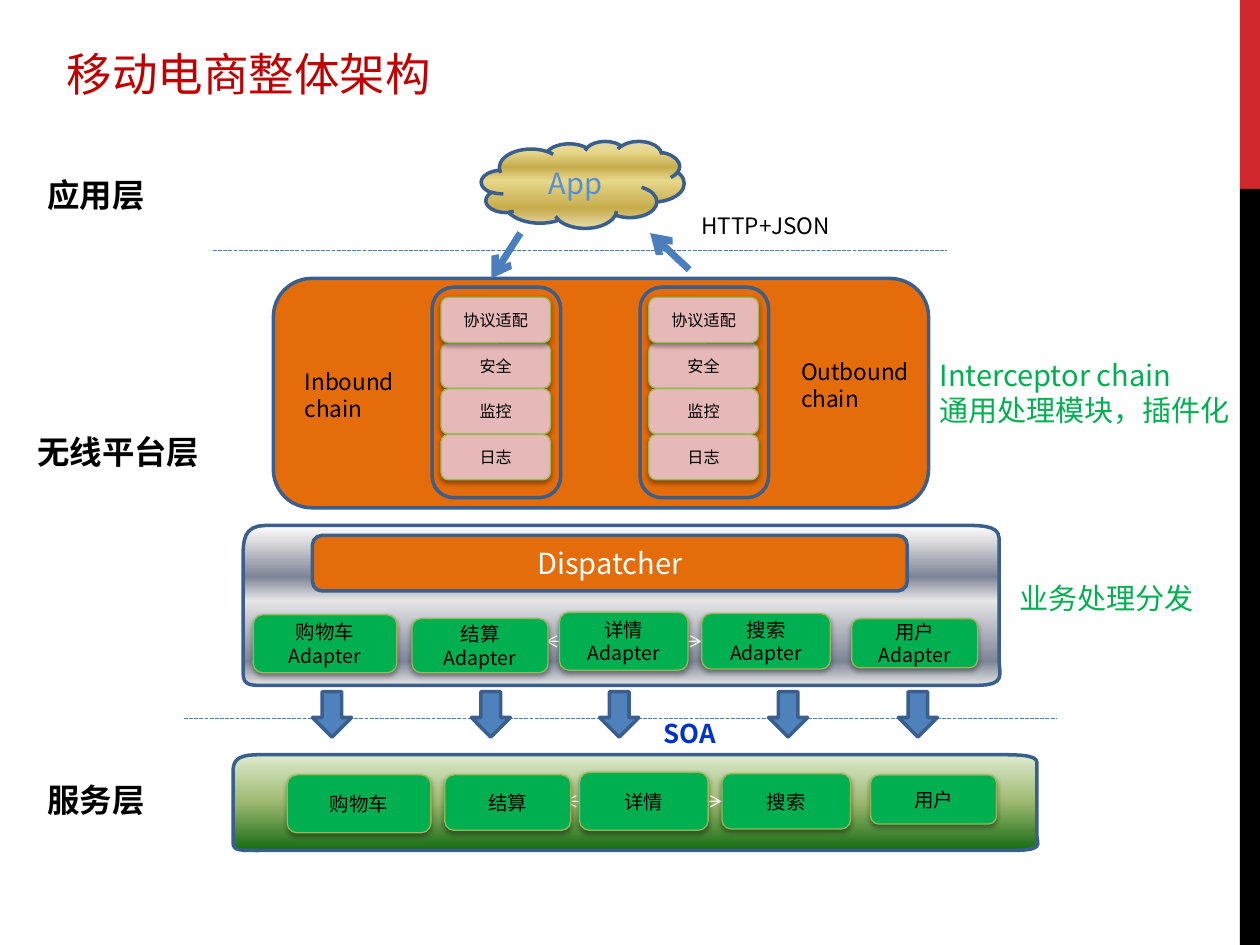
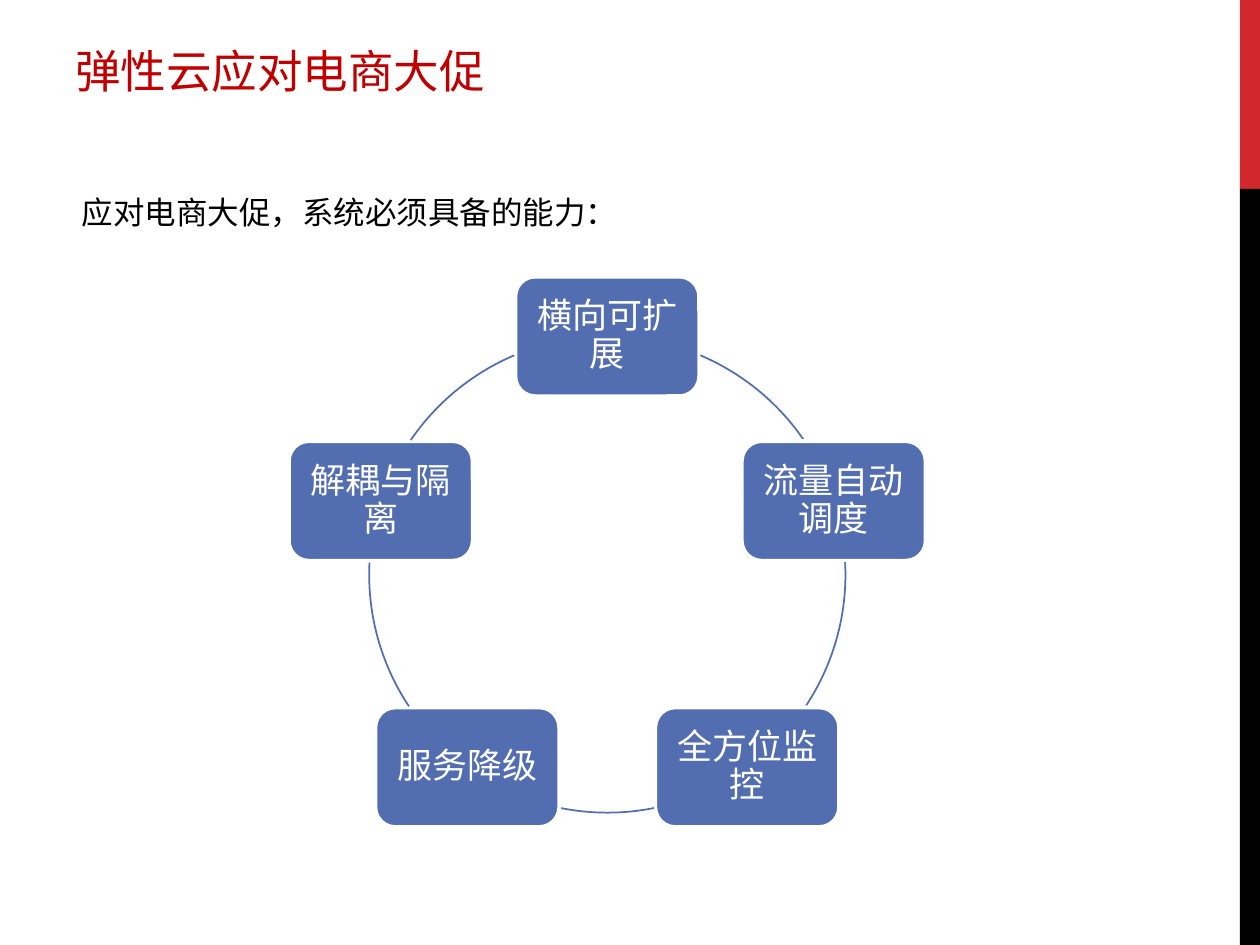
from lxml.etree import SubElement
from pptx import Presentation
from pptx.dml.color import RGBColor
from pptx.enum.dml import MSO_LINE
from pptx.enum.shapes import MSO_CONNECTOR as Link, MSO_SHAPE as Preset
from pptx.enum.text import MSO_ANCHOR as Anchor, PP_ALIGN as Align
from pptx.oxml.ns import qn
from pptx.util import Inches, Pt
from math import cos, radians, sin

WIDTH, HEIGHT = 10, 7.5
CJK = "Noto Sans CJK SC"
COLORS = {
    "red": "D1282E", "black": "000000", "white": "FFFFFF", "title": "C00000",
    "orange": "E46C0A", "outline": "3A5F8C", "green": "00B050", "rim": "98B955",
    "pink": "E6B9B8", "arrow": "4F81BD", "rule": "4B7EBC", "soa": "0033CC",
    "app": "558ED5", "ring": "526DB0",
}
GRADIENTS = {
    "services": [(0, "DDEBCF"), (50, "9CB86E"), (100, "156B13")],
    "adapters": [(0, "FFFFFF"), (7, "E6E6E6"), (32, "7D8496"),
                 (47, "E6E6E6"), (85, "7D8496"), (100, "E6E6E6")],
    "cloud": [(0, "E6DCAC"), (12, "E6D78A"), (30, "C7AC4C"),
              (45, "E6D78A"), (77, "C7AC4C"), (100, "E6DCAC")],
}
STYLES = {
    "title": dict(size=26, color="title"),
    "layer": dict(size=18.5, bold=True),
    "note": dict(size=16.6, color="green"),
    "chain": dict(size=12.9),
    "step": dict(size=9.2),
    "module": dict(size=11.1),
    "soa": dict(size=14.8, bold=True, color="soa"),
    "app": dict(size=16.6, color="app"),
    "dispatcher": dict(size=16.6, color="white"),
    "lead": dict(size=18, name="Arial"),
    "ability": dict(size=20, name="Arial", color="white"),
}

LABELS = [
    (["HTTP+JSON"], "chain", (5.47, 1.63, 1.89, 0.32)),
    (["服务层"], "layer", (0.28, 6.14, 1.18, 0.41)),
    (["无线平台层"], "layer", (0.2, 3.38, 1.57, 0.41)),
    (["应用层"], "layer", (0.28, 1.34, 1.34, 0.41)),
    (["Interceptor chain", "通用处理模块，插件化"], "note", (7.36, 2.79, 2.52, 0.66)),
    (["Outbound", "chain"], "chain", (6.26, 2.79, 1.18, 0.54)),
    (["Inbound", "chain"], "chain", (2.32, 2.87, 1.02, 0.54)),
    (["业务处理分发"], "note", (7.99, 4.56, 1.65, 0.38)),
]
STEPS = ["协议适配", "安全", "监控", "日志"]
CHAIN_LEFTS = (3.43, 5.08)
MODULES = [
    (["购物车Adapter"], (2.01, 4.88, 1.14, 0.46), 2.48, "购物车", (2.28, 6.15, 1.14, 0.46)),
    (["结算", "Adapter"], (3.27, 4.91, 1.08, 0.43), 3.74, "结算", (3.53, 6.15, 1, 0.44)),
    (["详情", "Adapter"], (4.44, 4.86, 1.02, 0.46), 4.76, "详情", (4.6, 6.13, 1.02, 0.46)),
    (["搜索", "Adapter"], (5.57, 4.87, 1.02, 0.44), 6.1, "搜索", (5.73, 6.14, 1.02, 0.44)),
    (["用户", "Adapter"], (6.76, 4.91, 1, 0.39), 7.13, "用户", (6.91, 6.15, 1, 0.39)),
]
PANELS = [("services", (1.85, 5.99, 6.38, 0.76)), ("adapters", (1.93, 4.17, 6, 1.27))]
PANEL_CORNERS = [
    [(0, 0.2), (0, 0.1), (0, 0), (0.03, 0)],
    [(0.94, 0), (0.97, 0), (1, -0.01), (1, 0.08)],
    [(1, 0.84), (1, 0.93), (1.01, 1), (0.97, 1)],
    [(0.04, 1), (0.01, 1), (0, 1.01), (0, 0.92)],
]
RULES = [(1.69, 7.52, 1.99), (1.46, 8.39, 5.7)]
TWO_WAY_LINKS = [(5.73, 4.48, 6.36), (5.57, 4.33, 5.09)]
APP_ARROWS = [(4.13, 1.85, 3.9, 2.21), (5.47, 2.14, 5.16, 1.85)]

ABILITIES = ["横向可扩展", "流量自动调度", "全方位监控", "服务降级", "解耦与隔离"]
RING_ARCS = [(293, 325.6), (357, 33.6), (78.7, 101.3), (146.4, 183), (214.4, 247)]
RING_X, RING_Y, RING_RADIUS = 4.82, 4.56, 1.89
ABILITY_SIZE = (1.46, 0.95)


def rgb(color):
    return RGBColor.from_string(COLORS[color])


def write(shape, lines, style, align=Align.LEFT, anchor=Anchor.TOP,
          wrap=True, inset=None, **para_format):
    frame = shape.text_frame
    frame.word_wrap, frame.vertical_anchor = wrap, anchor
    if inset is not None:
        for side in ("left", "top", "right", "bottom"):
            setattr(frame, f"margin_{side}", Inches(inset))
    font_format = {"name": CJK, "bold": False, "color": "black", **STYLES[style]}
    color = font_format.pop("color")
    font_format["size"] = Pt(font_format["size"])
    for index, line in enumerate(lines):
        para = frame.paragraphs[0] if index == 0 else frame.add_paragraph()
        for key, value in {"alignment": align, **para_format}.items():
            setattr(para, key, value)
        span = para.add_run()
        span.text = line
        for key, value in font_format.items():
            setattr(span.font, key, value)
        span.font.color.rgb = rgb(color)
        SubElement(span.font._element, qn("a:ea"), typeface=CJK)


def add_text(page, lines, style, place, **options):
    box = page.shapes.add_textbox(*map(Inches, place))
    write(box, lines, style, **options)
    return box


def paint(shape, fill=None, line=None, weight=2):
    shape.shadow.inherit = False
    if fill in GRADIENTS:
        shape.fill.gradient()
        shape.fill.gradient_angle = 270
        stops = shape._element.spPr.find(qn("a:gradFill")).find(qn("a:gsLst"))
        for stop in list(stops):
            stops.remove(stop)
        for share, color in GRADIENTS[fill]:
            stop = SubElement(stops, qn("a:gs"), pos=str(share * 1000))
            SubElement(stop, qn("a:srgbClr"), val=color)
    elif fill:
        shape.fill.solid()
        shape.fill.fore_color.rgb = rgb(fill)
    else:
        shape.fill.background()
    if line:
        shape.line.color.rgb = rgb(line)
        shape.line.width = Pt(weight)
    else:
        shape.line.fill.background()
    return shape


def add_block(page, preset, place, *look):
    return paint(page.shapes.add_shape(preset, *map(Inches, place)), *look)


def add_module(page, lines, style, fill, place):
    block = add_block(page, Preset.ROUNDED_RECTANGLE, place, fill, "rim", 0.75)
    effects = block._element.spPr.find(qn("a:effectLst"))
    shadow = SubElement(effects, qn("a:outerShdw"), blurRad=str(Pt(3.1)),
                        dist=str(Pt(1.6)), dir="5400000", rotWithShape="0")
    color = SubElement(shadow, qn("a:srgbClr"), val=COLORS["black"])
    SubElement(color, qn("a:alpha"), val="38000")
    write(block, lines, style, Align.CENTER, Anchor.MIDDLE)


def add_link(page, kind, ends, color, weight, dash=None, arrows=()):
    link = page.shapes.add_connector(kind, *map(Inches, ends))
    link.line.color.rgb = rgb(color)
    link.line.width = Pt(weight)
    if dash:
        link.line.dash_style = dash
    for end in arrows:
        SubElement(link.line._get_or_add_ln(), qn(f"a:{end}"), type="arrow")
    SubElement(link._element.spPr, qn("a:effectLst"))


def bezier(points, pieces=8):
    for piece in range(pieces + 1):
        t = piece / pieces
        weights = ((1 - t) ** 3, 3 * t * (1 - t) ** 2, 3 * t * t * (1 - t), t ** 3)
        yield tuple(sum(w * point[axis] for w, point in zip(weights, points))
                    for axis in (0, 1))


def add_panel(page, fill, place):
    left, top, width, height = place
    outline = [(Inches(left + x * width), Inches(top + y * height))
               for corner in PANEL_CORNERS for x, y in bezier(corner)]
    builder = page.shapes.build_freeform(*outline[0])
    builder.add_line_segments(outline[1:], close=True)
    paint(builder.convert_to_shape(), fill, "outline")


def add_page(deck, title, place, anchor):
    page = deck.slides.add_slide(deck.slide_layouts[6])
    band, split = 0.16, HEIGHT / 5
    add_block(page, Preset.RECTANGLE, (WIDTH - band, 0, band, split), "red")
    add_block(page, Preset.RECTANGLE, (WIDTH - band, split, band, HEIGHT - split), "black")
    add_text(page, [title], "title", place, anchor=anchor)
    return page


def build_architecture(deck):
    page = add_page(deck, "移动电商整体架构", (0.43, 0.29, 7.2, 0.56), Anchor.BOTTOM)
    rounded = Preset.ROUNDED_RECTANGLE
    add_block(page, rounded, (2.17, 2.21, 5.2, 1.82), "orange", "outline")
    for left in CHAIN_LEFTS:
        add_block(page, rounded, (left, 2.28, 1.02, 1.67), "orange", "outline")
        for row in (1, 2, 3, 0):
            place = (left + 0.07, 2.36 + 0.363 * row, 0.87, 0.36)
            add_module(page, [STEPS[row]], "step", "pink", place)
    for fill, place in PANELS:
        add_panel(page, fill, place)
    for start, end, y in TWO_WAY_LINKS:
        add_link(page, Link.ELBOW, (start, y, end, y), "white", 0.75,
                 arrows=("headEnd", "tailEnd"))
    for start, end, y in RULES:
        add_link(page, Link.STRAIGHT, (start, y, end, y), "rule", 0.75, MSO_LINE.SQUARE_DOT)
    for adapter, adapter_place, arrow_left, service, service_place in MODULES:
        add_module(page, adapter, "module", "green", adapter_place)
        add_module(page, [service], "module", "green", service_place)
        add_block(page, Preset.DOWN_ARROW, (arrow_left, 5.49, 0.31, 0.36), "arrow", "outline")
    dispatcher = add_block(page, rounded, (2.48, 4.25, 4.72, 0.44), "orange", "outline")
    write(dispatcher, ["Dispatcher"], "dispatcher", Align.CENTER, Anchor.MIDDLE)
    cloud = add_block(page, Preset.CLOUD, (3.82, 1.12, 1.61, 0.69), "cloud", "outline")
    write(cloud, ["App"], "app", Align.CENTER, Anchor.MIDDLE)
    for ends in APP_ARROWS:
        add_link(page, Link.STRAIGHT, ends, "rule", 4, arrows=("tailEnd",))
    add_text(page, ["SOA"], "soa", (5.08, 5.65, 0.79, 0.35), align=Align.CENTER)
    for lines, style, place in LABELS:
        add_text(page, lines, style, place)


def build_abilities(deck):
    page = add_page(deck, "弹性云应对电商大促", (0.5, 0.17, 6.33, 0.77), Anchor.MIDDLE)
    add_text(page, ["应对电商大促，系统必须具备的能力："], "lead",
             (0.55, 1.48, 4.49, 0.4), wrap=False)
    width, height = ABILITY_SIZE
    ring = (RING_X - RING_RADIUS, RING_Y - RING_RADIUS, 2 * RING_RADIUS, 2 * RING_RADIUS)
    for index, (ability, arc_ends) in enumerate(zip(ABILITIES, RING_ARCS)):
        angle = radians(360 / len(ABILITIES) * index - 90)
        left = RING_X + RING_RADIUS * cos(angle) - width / 2
        top = RING_Y + RING_RADIUS * sin(angle) - height / 2
        block = add_block(page, Preset.ROUNDED_RECTANGLE, (left, top, width, height),
                          "ring", "white", 2.25)
        write(block, [ability], "ability", Align.CENTER, Anchor.MIDDLE, inset=0.08,
              line_spacing=0.9, space_after=Pt(7))
        arc = add_block(page, Preset.ARC, ring, None, "ring", 1)
        for end, degrees in enumerate(arc_ends):
            arc.adjustments[end] = degrees * 0.6


def main():
    """Build the two slides and save the deck."""
    deck = Presentation()
    deck.slide_width, deck.slide_height = Inches(WIDTH), Inches(HEIGHT)
    build_architecture(deck)
    build_abilities(deck)
    deck.save("out.pptx")


if __name__ == "__main__":
    main()
